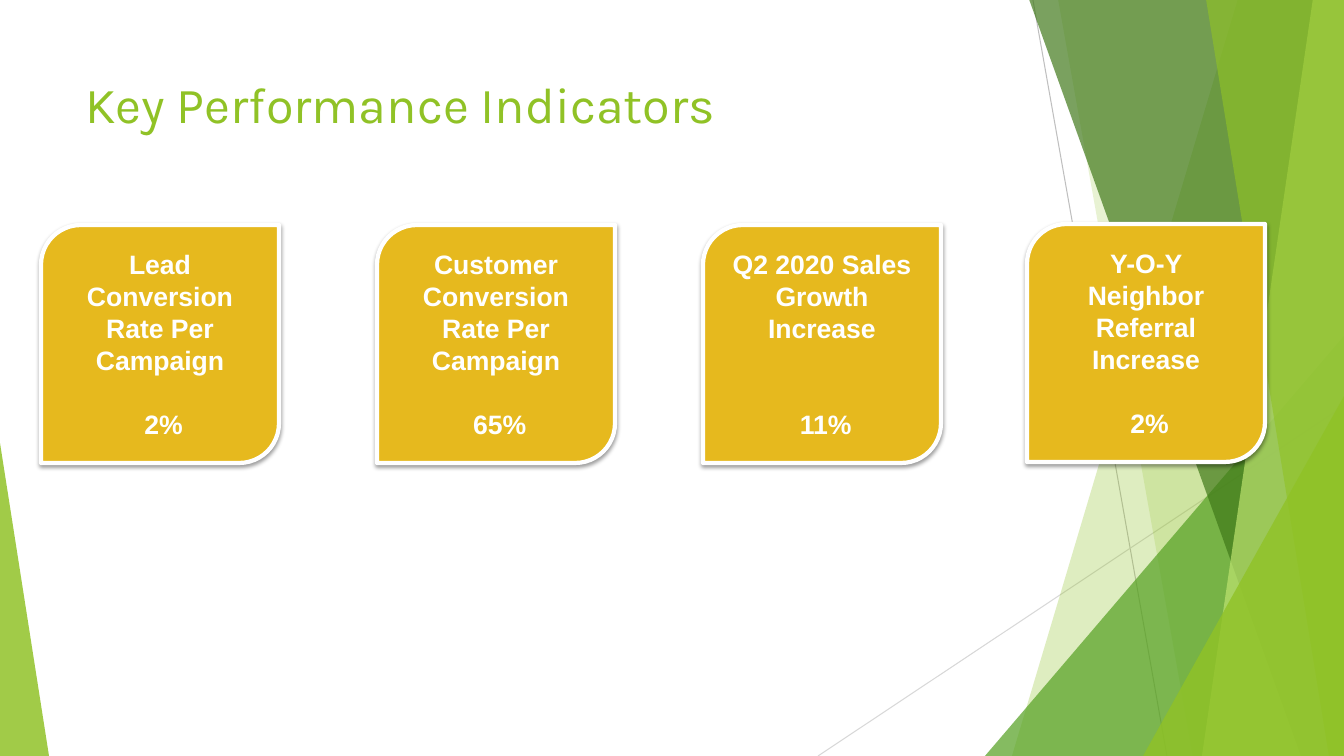
"""Build the Key Performance Indicators slide: four cards over a green facet backdrop."""
from lxml.etree import SubElement
from pptx import Presentation
from pptx.dml.color import RGBColor
from pptx.enum.shapes import MSO_CONNECTOR, MSO_SHAPE
from pptx.enum.text import MSO_ANCHOR, MSO_AUTO_SIZE, PP_ALIGN
from pptx.oxml.ns import qn
from pptx.util import Emu, Pt

PX = 914400 / 100.8
WIDTH, HEIGHT = 1344, 756
COLORS = {
    "lime": "90C226", "leaf": "54A021", "forest": "3F7818", "pale": "BFE471",
    "gold": "E6B91E", "white": "FFFFFF", "black": "000000",
    "gray": "BFBFBF", "silver": "D8D8D8",
}


def paint(shape, color, opacity=100):
    shape.shadow.inherit = False
    shape.fill.solid()
    shape.fill.fore_color.rgb = RGBColor.from_string(COLORS[color])
    shape.line.fill.background()
    if opacity < 100:
        tint = shape._element.spPr.find(f"{qn('a:solidFill')}/{qn('a:srgbClr')}")
        SubElement(tint, qn("a:alpha"), val=str(opacity * 1000))


def write(paragraph, text, *, font, size, color, bold=False,
          align=PP_ALIGN.CENTER, before=0, leading=None):
    paragraph.alignment = align
    paragraph.space_before = Pt(before)
    paragraph.line_spacing = leading and Pt(leading)
    run = paragraph.add_run()
    run.text = text
    run.font.name, run.font.size, run.font.bold = font, Pt(size), bold
    run.font.color.rgb = RGBColor.from_string(COLORS[color])


deck = Presentation()
deck.slide_width, deck.slide_height = Emu(round(WIDTH * PX)), Emu(round(HEIGHT * PX))
slide = deck.slides.add_slide(deck.slide_layouts[5])
shapes = slide.shapes

rays = [((1033, 0, 1167, HEIGHT), "gray"), ((WIDTH, 406, 818, HEIGHT), "silver")]
for ends, color in rays:
    ray = shapes.add_connector(MSO_CONNECTOR.STRAIGHT, *(Emu(round(v * PX)) for v in ends))
    ray.line.color.rgb = RGBColor.from_string(COLORS[color])
    ray.line.width = Pt(0.75)
    SubElement(ray._element.spPr, qn("a:effectLst"))

facets = [
    ("sheet", (1238, 1012), "lime", 29),
    ("sheet", (1058, 1193), "lime", 20),
    ("peak", (985, 336, 359, 1), "leaf", 71),
    ("sheet", (1029, 1301), "forest", 69),
    ("sheet", (1313, 1202), "pale", 69),
    ("sheet", (1206, 1329), "lime", 64),
    ("peak", (1143, 396, 201, 1), "lime", 80),
    ("peak", (0, 443, 49, 0), "lime", 84),
]
for kind, geometry, color, opacity in facets:
    if kind == "sheet":
        top_x, bottom_x = geometry
        outline = shapes.build_freeform(top_x, -1, scale=PX)
        outline.add_line_segments([(WIDTH, -1), (WIDTH, HEIGHT), (bottom_x, HEIGHT)], close=True)
        facet = outline.convert_to_shape()
    else:
        left, top, width, apex = geometry
        box = (left, top, width, HEIGHT - top)
        facet = shapes.add_shape(MSO_SHAPE.ISOSCELES_TRIANGLE, *(Emu(round(v * PX)) for v in box))
        facet.adjustments[0] = apex
    paint(facet, color, opacity)

heading = shapes.title
heading.left, heading.top, heading.width, heading.height = (
    Emu(round(v * PX)) for v in (75, 68, 948, 145))
heading.text_frame.auto_size = MSO_AUTO_SIZE.NONE
heading.text_frame.vertical_anchor = MSO_ANCHOR.TOP
write(heading.text_frame.paragraphs[0], "Key Performance Indicators",
      font="Karla", size=36, color="lime", align=PP_ALIGN.LEFT)
heading._element.getparent().append(heading._element)

CARD, LEADING = 238, 22.9
indicators = [
    (41, 225, "Lead Conversion Rate Per Campaign", " 2%", 1),
    (377, 225, "Customer Conversion Rate Per Campaign", " 65%", 1),
    (703, 225, "Q2 2020 Sales Growth Increase", " 11%", 2),
    (1027, 224, "Y-O-Y Neighbor Referral Increase", " 2%", 1),
]
for left, top, label, value, gap_lines in indicators:
    card = shapes.add_shape(MSO_SHAPE.ROUND_2_DIAG_RECTANGLE,
                            *(Emu(round(v * PX)) for v in (left, top, CARD, CARD)))
    card.adjustments[0], card.adjustments[1] = 0.167, 0
    paint(card, "gold")
    card.line.color.rgb = RGBColor.from_string(COLORS["white"])
    card.line.width = Pt(3)
    shade = SubElement(card._element.spPr.find(qn("a:effectLst")), qn("a:outerShdw"),
                       blurRad=str(Pt(3.1)), dist=str(Pt(1.6)), dir="5400000",
                       algn="ctr", rotWithShape="0")
    shade_color = SubElement(shade, qn("a:srgbClr"), val=COLORS["black"])
    SubElement(shade_color, qn("a:alpha"), val="38000")

    frame = card.text_frame
    frame.word_wrap = True
    frame.vertical_anchor = MSO_ANCHOR.MIDDLE
    style = dict(font="Arial", size=19, color="white", bold=True, leading=LEADING)
    write(frame.paragraphs[0], label, **style)
    write(frame.add_paragraph(), value, before=gap_lines * LEADING, **style)

deck.save("out.pptx")
